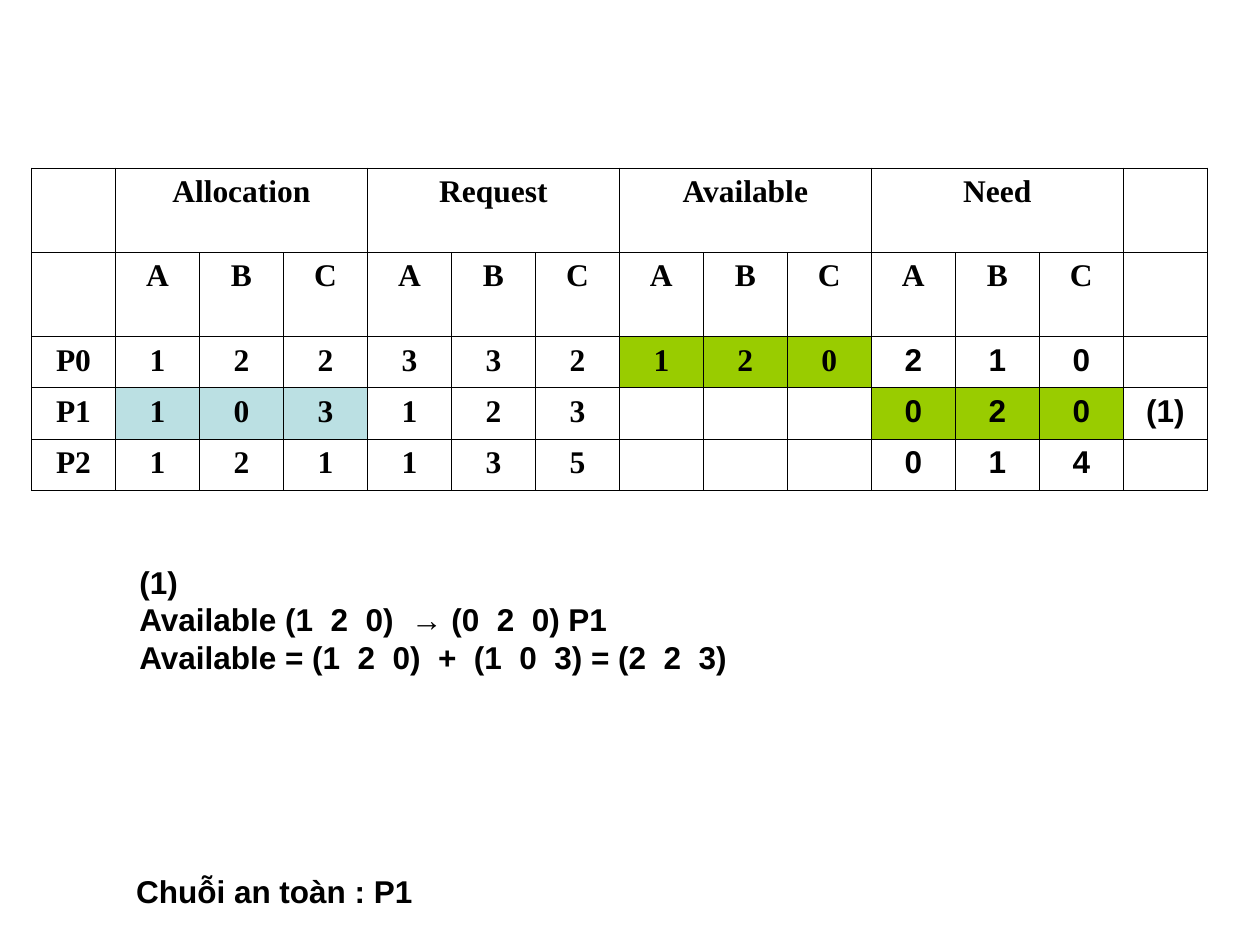
from lxml import etree
from pptx import Presentation
from pptx.dml.color import RGBColor
from pptx.enum.text import MSO_AUTO_SIZE, PP_ALIGN
from pptx.oxml.ns import qn
from pptx.util import Pt

CENTER = PP_ALIGN.CENTER
LEFT = PP_ALIGN.LEFT
FIT_SHAPE = MSO_AUTO_SIZE.SHAPE_TO_FIT_TEXT

BLACK = RGBColor(0x00, 0x00, 0x00)
WHITE = RGBColor(0xFF, 0xFF, 0xFF)
GREEN = RGBColor(0x99, 0xCC, 0x00)
BLUE = RGBColor(0xBB, 0xE0, 0xE3)
SERIF = "Times New Roman"
SANS = "Arial"

GROUPS = ["Allocation", "Request", "Available", "Need"]
RESOURCES = ["A", "B", "C"]
NEED_COLUMN = 10
ROWS = [
    [""] + [text for group in GROUPS for text in (group, "", "")] + [""],
    [""] + RESOURCES * len(GROUPS) + [""],
    ["P0", "1", "2", "2", "3", "3", "2", "1", "2", "0", "2", "1", "0", ""],
    ["P1", "1", "0", "3", "1", "2", "3", "", "", "", "0", "2", "0", "(1)"],
    ["P2", "1", "2", "1", "1", "3", "5", "", "", "", "0", "1", "4", ""],
]
ROW_HEIGHTS = [48.2, 48.2, 28.8, 28.8, 28.8]
# Row and first column of each highlighted group of three cells
HIGHLIGHTS = {(2, 7): GREEN, (3, 1): BLUE, (3, 10): GREEN}


def add_text(paragraph, text, font_name, alignment):
    paragraph.alignment = alignment
    run = paragraph.add_run()
    run.text = text
    run.font.name = font_name
    run.font.size = Pt(18)
    run.font.bold = True
    run.font.color.rgb = BLACK


def add_cell_borders(cell):
    """Draw thin black lines on all sides; they must precede the cell fill."""
    properties = cell._tc.get_or_add_tcPr()
    for position, side in enumerate(("a:lnL", "a:lnR", "a:lnT", "a:lnB")):
        line = etree.Element(qn(side), w=str(Pt(0.45)))
        fill = etree.SubElement(line, qn("a:solidFill"))
        etree.SubElement(fill, qn("a:srgbClr"), val=str(BLACK))
        properties.insert(position, line)


def add_allocation_table(slide, left, top, width):
    shape = slide.shapes.add_table(
        len(ROWS), len(ROWS[0]), Pt(left), Pt(top), Pt(width), Pt(sum(ROW_HEIGHTS)))
    table = shape.table
    for row, height in zip(table.rows, ROW_HEIGHTS):
        row.height = Pt(height)
    for column in table.columns:
        column.width = Pt(width / len(ROWS[0]))

    for row_index, texts in enumerate(ROWS):
        for column_index, text in enumerate(texts):
            cell = table.cell(row_index, column_index)
            group_start = (column_index - 1) // 3 * 3 + 1
            cell.fill.solid()
            cell.fill.fore_color.rgb = HIGHLIGHTS.get((row_index, group_start), WHITE)
            add_cell_borders(cell)
            if text:
                is_need_value = row_index >= 2 and column_index >= NEED_COLUMN
                font_name = SANS if is_need_value else SERIF
                add_text(cell.text_frame.paragraphs[0], text, font_name, CENTER)

    for group_index in range(len(GROUPS)):
        first = 1 + 3 * group_index
        table.cell(0, first).merge(table.cell(0, first + 2))


def add_note(slide, left, top, width, height, lines):
    box = slide.shapes.add_textbox(Pt(left), Pt(top), Pt(width), Pt(height))
    frame = box.text_frame
    frame.word_wrap = False
    frame.auto_size = FIT_SHAPE
    for index, line in enumerate(lines):
        paragraph = frame.add_paragraph() if index else frame.paragraphs[0]
        add_text(paragraph, line, SANS, LEFT)


def main():
    presentation = Presentation()
    presentation.slide_width = Pt(720)
    presentation.slide_height = Pt(540)
    blank_layout = presentation.slide_layouts[6]
    slide = presentation.slides.add_slide(blank_layout)

    add_allocation_table(slide, 18, 96, 672)
    add_note(slide, 72.5, 318, 350.5, 72, [
        "(1)",
        "Available (1  2  0)  → (0  2  0) P1",
        "Available = (1  2  0)  +  (1  0  3) = (2  2  3)",
    ])
    add_note(slide, 70.75, 495, 177, 28.8, ["Chuỗi an toàn : P1"])
    presentation.save("out.pptx")


if __name__ == "__main__":
    main()
